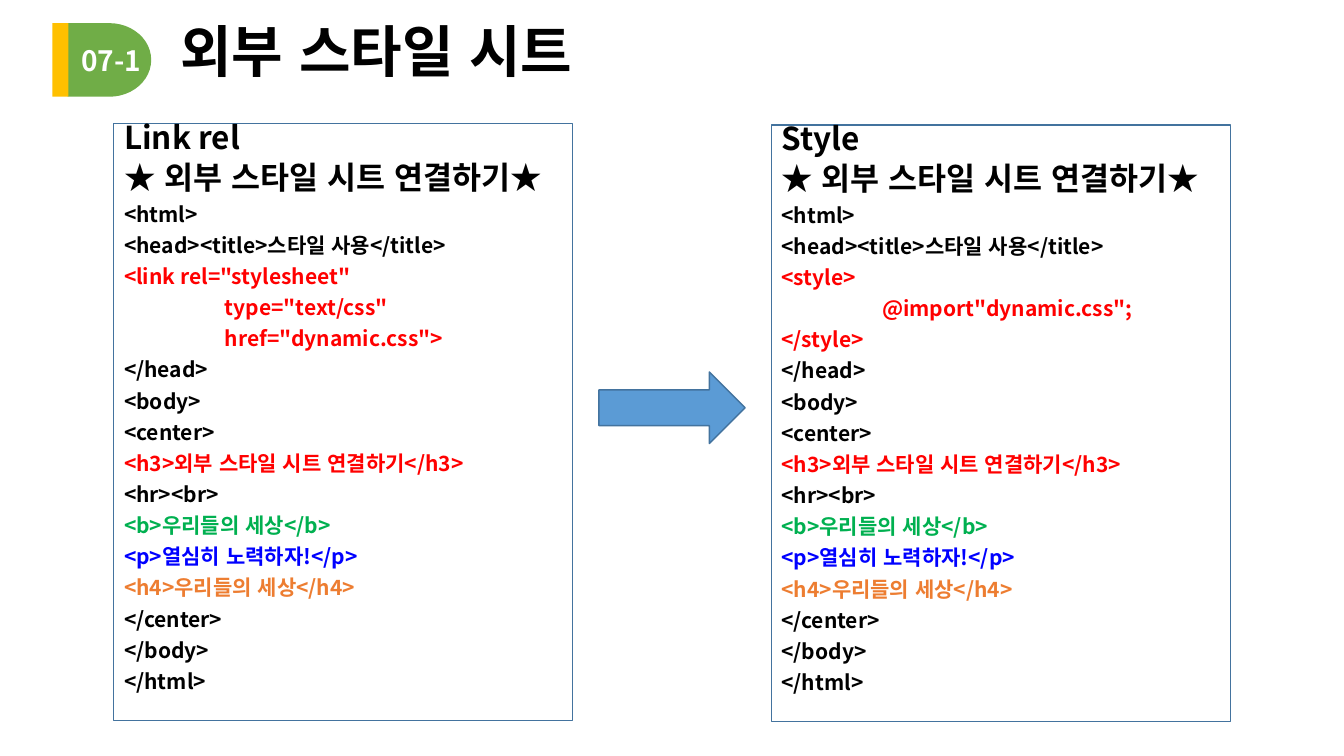
from dataclasses import dataclass

from lxml.etree import SubElement
from pptx import Presentation
from pptx.dml.color import RGBColor as RGB
from pptx.enum.lang import MSO_LANGUAGE_ID as Lang
from pptx.enum.shapes import MSO_SHAPE as Kind
from pptx.enum.text import MSO_ANCHOR as Anchor, MSO_AUTO_SIZE as Fit, PP_ALIGN as Align
from pptx.oxml.ns import qn
from pptx.util import Inches, Pt


@dataclass(frozen=True)
class Theme:
    font: str = "Noto Sans CJK KR"
    head: str = "Arial"
    black: str = "000000"
    white: str = "FFFFFF"
    red: str = "FF0000"
    green: str = "00B050"
    blue: str = "0000FF"
    orange: str = "ED7D31"
    badge: str = "70AD47"
    strip: str = "FFC000"
    arrow: str = "5B9BD5"
    edge: str = "43739E"
    title: float = 40
    lead: float = 22.5
    code: float = 15
    tag: float = 20


T = Theme()
LEAD = "★ 외부 스타일 시트 연결하기★"
START = [("<html>", T.black), ("<head><title>스타일 사용</title>", T.black)]
LINK = ['<link rel="stylesheet"', '\ttype="text/css"', '\thref="dynamic.css">']
STYLE = ["<style>", '\t@import"dynamic.css";', "</style>"]
REST = [
    ("</head>", T.black),
    ("<body>", T.black),
    ("<center>", T.black),
    ("<h3>외부 스타일 시트 연결하기</h3>", T.red),
    ("<hr><br>", T.black),
    ("<b>우리들의 세상</b>", T.green),
    ("<p>열심히 노력하자!</p>", T.blue),
    ("<h4>우리들의 세상</h4>", T.orange),
    ("</center>", T.black),
    ("</body>", T.black),
    ("</html>", T.black),
]


def place(shape, x, y, w, h):
    shape.left, shape.top = Inches(x), Inches(y)
    shape.width, shape.height = Inches(w), Inches(h)


def style(para, size, color, font=T.font):
    """Format every run, for Latin and Korean letters alike."""
    for run in para.runs:
        face = run.font
        face.name, face.size, face.bold = font, Pt(size), True
        face.language_id = Lang.KOREAN
        face.color.rgb = RGB.from_string(color)
        SubElement(face._element, qn("a:ea")).set("typeface", T.font)


def add_block(slide, kind, box, fill, edge=None):
    shape = slide.shapes.add_shape(kind, *map(Inches, box))
    shape.shadow.inherit = False
    shape.fill.solid()
    shape.fill.fore_color.rgb = RGB.from_string(fill)
    if edge:
        shape.line.color.rgb = RGB.from_string(edge)
        shape.line.width = Pt(1)
    else:
        shape.line.fill.background()


def fill_title(title, text):
    place(title, 1.69, 0.17, 9.94, 0.73)
    frame = title.text_frame
    frame.text = text
    frame.auto_size, frame.vertical_anchor = Fit.NONE, Anchor.MIDDLE
    para = frame.paragraphs[0]
    para.alignment, para.line_spacing = Align.LEFT, 0.9
    style(para, T.title, T.black, T.head)


def fill_panel(panel, x, y, name, change):
    """Frame a code listing whose changed lines are red."""
    place(panel, x, y, 4.55, 5.92)
    panel.line.color.rgb = RGB.from_string(T.edge)
    panel.line.width = Pt(0.75)
    code = START + [(text, T.red) for text in change] + REST
    lines = [(name, T.lead, T.black), (LEAD, T.lead, T.black)]
    lines += [(text, T.code, color) for text, color in code]
    frame = panel.text_frame
    frame.text = "\n".join(text for text, _, _ in lines)
    frame.auto_size, frame.vertical_anchor = Fit.NONE, Anchor.TOP
    for para, (_, size, color) in zip(frame.paragraphs, lines):
        para.line_spacing, para.space_before = 0.68, Pt(10)
        props = para._p.get_or_add_pPr()
        props.set("marL", "0")
        props.set("indent", "0")
        props.set("defTabSz", str(Inches(1)))
        SubElement(props, qn("a:buNone"))
        style(para, size, color)


def add_label(slide, text, box):
    frame = slide.shapes.add_textbox(*map(Inches, box)).text_frame
    frame.word_wrap = True
    frame.text = text
    style(frame.paragraphs[0], T.tag, T.white)


def main():
    deck = Presentation()
    deck.slide_width, deck.slide_height = Inches(13.33), Inches(7.5)
    slide = deck.slides.add_slide(deck.slide_layouts[3])
    title, left, right = slide.placeholders
    fill_title(title, "외부 스타일 시트")
    fill_panel(left, 1.13, 1.23, "Link rel", LINK)
    fill_panel(right, 7.65, 1.24, "Style", STYLE)
    add_block(slide, Kind.FLOWCHART_DELAY, (0.67, 0.23, 0.83, 0.73), T.badge)
    add_block(slide, Kind.RECTANGLE, (0.52, 0.23, 0.16, 0.73), T.strip)
    add_block(slide, Kind.RIGHT_ARROW, (5.94, 3.69, 1.45, 0.71), T.arrow, T.edge)
    add_label(slide, "07-1", (0.71, 0.38, 0.84, 0.44))
    deck.save("out.pptx")


if __name__ == "__main__":
    main()
